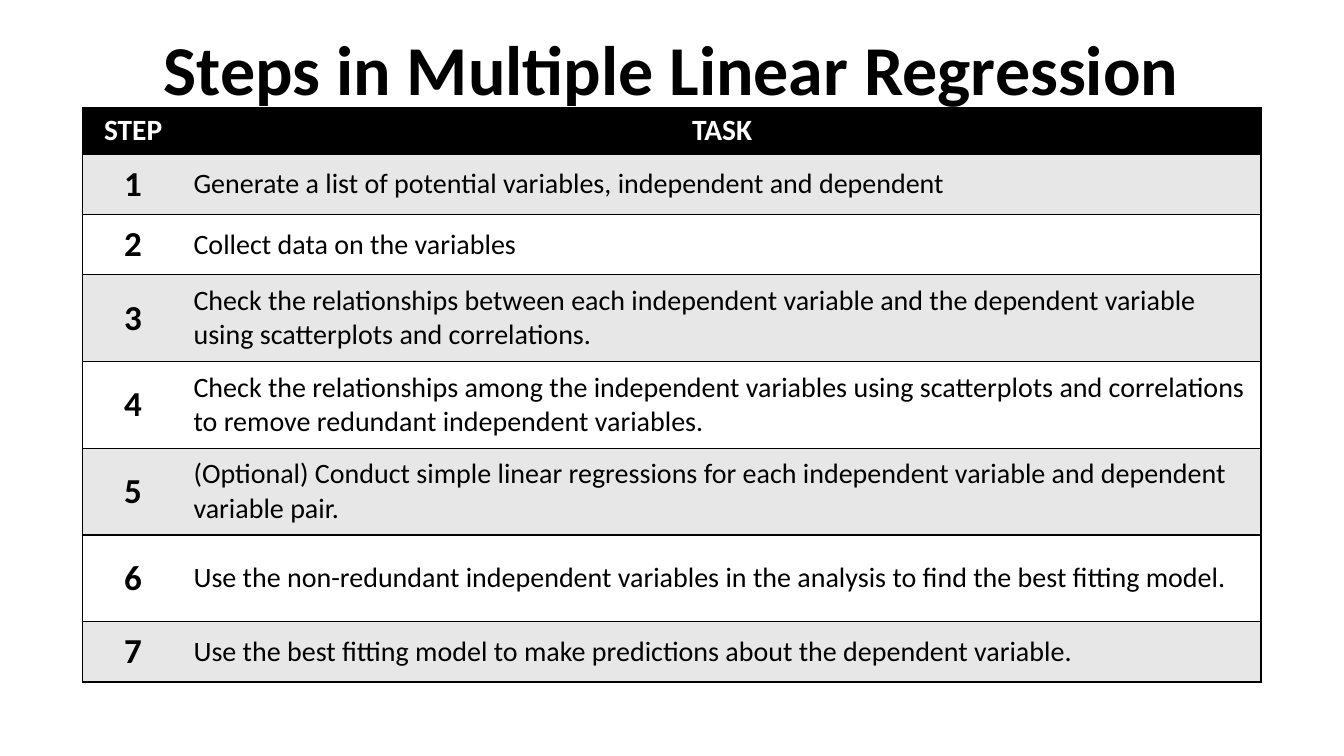
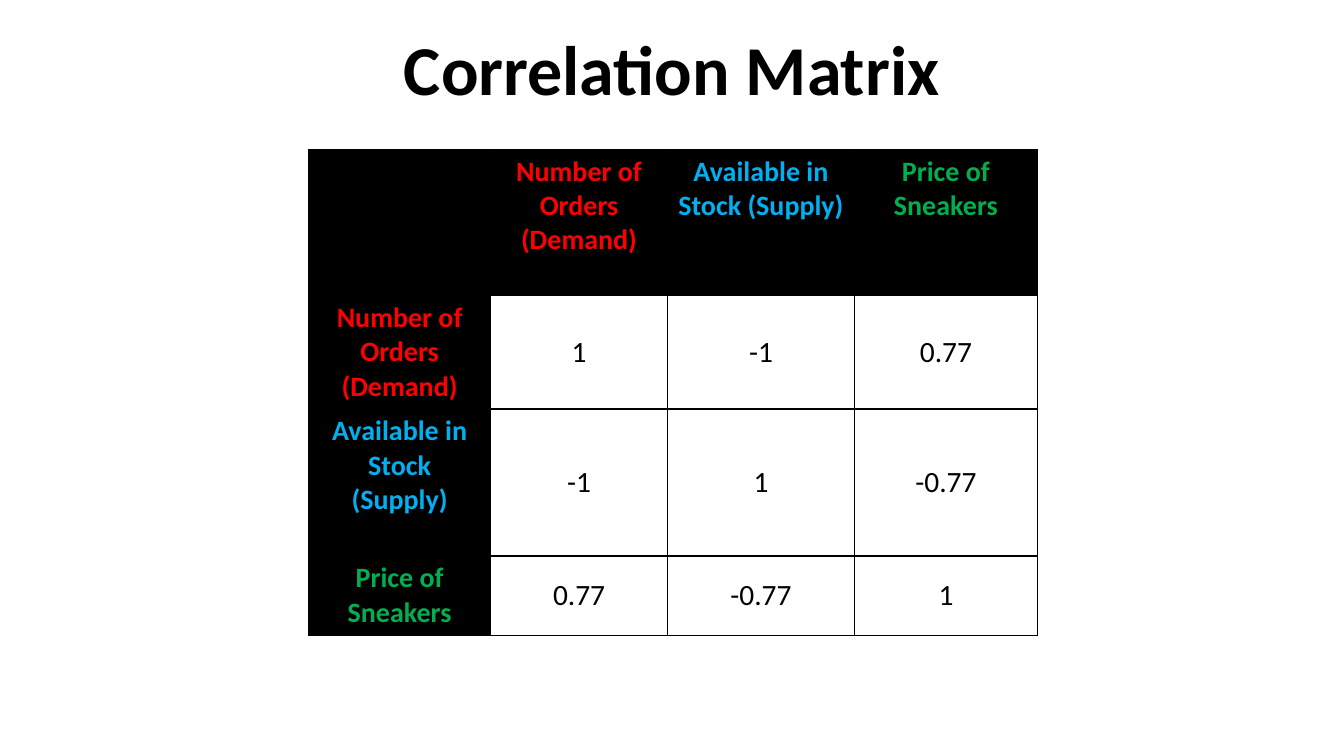
from lxml.etree import SubElement
from pptx import Presentation
from pptx.dml.color import RGBColor
from pptx.enum.text import MSO_ANCHOR, MSO_AUTO_SIZE, PP_ALIGN
from pptx.oxml.ns import qn
from pptx.util import Inches, Pt

BLACK = RGBColor(0x00, 0x00, 0x00)
WHITE = RGBColor(0xFF, 0xFF, 0xFF)
GRAY = RGBColor(0xE7, 0xE7, 0xE7)
RED = RGBColor(0xFF, 0x00, 0x00)
BLUE = RGBColor(0x00, 0xB0, 0xF0)
GREEN = RGBColor(0x00, 0xB0, 0x50)

COLS, ROWS = 80, 45
UNIT = Inches(1 / 6)
NO_STYLE = "{2D5ABB26-0587-4C30-8999-92F81FD0307C}"
CENTER = {"alignment": PP_ALIGN.CENTER}
LEFT = {"alignment": PP_ALIGN.LEFT}
TITLE = {"size": Pt(50), "bold": True}
HEADING = {"size": Pt(21), "bold": True}
NUMBER = {"size": Pt(25), "bold": True}
TASK = {"size": Pt(20), "bold": False}
LABEL = {"size": Pt(20), "bold": True}
VALUE = {"size": Pt(21), "bold": False}

TASKS = [
    "Generate a list of potential variables, independent and dependent",
    "Collect data on the variables",
    "Check the relationships between each independent variable and the "
    "dependent variable using scatterplots and correlations.",
    "Check the relationships among the independent variables using "
    "scatterplots and correlations to remove redundant independent variables.",
    "(Optional) Conduct simple linear regressions for each independent "
    "variable and dependent variable pair.",
    "Use the non-redundant independent variables in the analysis to find "
    "the best fitting model.",
    "Use the best fitting model to make predictions about the dependent variable.",
]
VARIABLES = [
    ("Number of Orders (Demand)", RED),
    ("Available in Stock (Supply)", BLUE),
    ("Price of Sneakers", GREEN),
]
CORRELATIONS = [
    ("1", "-1", "0.77"),
    ("-1", "1", "-0.77"),
    ("0.77", "-0.77", "1"),
]


def grid(count):
    return round(count * UNIT)


def apply(target, values):
    for name, value in values.items():
        setattr(target, name, value)


class Deck:
    font = "Calibri"

    def __init__(self):
        self.prs = Presentation()
        apply(self.prs, {"slide_width": grid(COLS), "slide_height": grid(ROWS)})
        self.s = None

    def text(self, tf, text, style, color=BLACK, layout=CENTER):
        p = tf.paragraphs[0]
        apply(p, layout)
        r = p.add_run()
        r.text = text
        apply(r.font, {"name": self.font, **style})
        r.font.color.rgb = color

    def slide(self, title):
        self.s = self.prs.slides.add_slide(self.prs.slide_layouts[5])
        sp = self.s.shapes.title
        apply(sp, {"left": grid(3), "top": grid(2.16),
                   "width": grid(74), "height": grid(4.74)})
        tf = sp.text_frame
        apply(tf, {"auto_size": MSO_AUTO_SIZE.NONE, "word_wrap": True,
                   "vertical_anchor": MSO_ANCHOR.BOTTOM})
        self.text(tf, title, TITLE, layout={**CENTER, "line_spacing": 0.9})

    def table(self, left, top, widths, heights):
        frame = self.s.shapes.add_table(
            len(heights), len(widths), grid(left), grid(top),
            grid(sum(widths)), grid(sum(heights)))
        table = frame.table
        apply(table, {"first_row": False, "horz_banding": False})
        table._tbl.tblPr.find(qn("a:tableStyleId")).text = NO_STYLE
        for column, width in zip(table.columns, widths):
            column.width = grid(width)
        for row, height in zip(table.rows, heights):
            row.height = grid(height)
        return table

    def cell(self, cell, fill, sides="LRTB", anchor=MSO_ANCHOR.TOP):
        cell.vertical_anchor = anchor
        properties = cell._tc.get_or_add_tcPr()
        for side in sides:
            line = SubElement(properties, qn(f"a:ln{side}"), w=str(Pt(1)))
            color = SubElement(line, qn("a:solidFill"))
            SubElement(color, qn("a:srgbClr"), val=str(BLACK))
        cell.fill.solid()
        cell.fill.fore_color.rgb = fill
        return cell.text_frame


def add_steps(deck):
    deck.slide("Steps in Multiple Linear Regression")
    short, tall = 3.6, 5.16
    heights = [2.74, short, short] + [tall] * 4 + [short]
    table = deck.table(4.92, 6.42, [6, 64.14], heights)
    outer = ("LTB", "RTB")
    for column, text in enumerate(("STEP", "TASK")):
        tf = deck.cell(table.cell(0, column), BLACK, outer[column])
        deck.text(tf, text, HEADING, WHITE)
    for step, task in enumerate(TASKS, 1):
        fill = GRAY if step % 2 else WHITE
        entries = ((str(step), NUMBER, CENTER), (task, TASK, LEFT))
        for column, (text, style, layout) in enumerate(entries):
            tf = deck.cell(table.cell(step, column), fill, outer[column],
                           MSO_ANCHOR.MIDDLE)
            deck.text(tf, text, style, layout=layout)


def add_matrix(deck):
    deck.slide("Correlation Matrix")
    table = deck.table(18.36, 8.9, [10.86, 10.5, 11.16, 10.86],
                       [8.7, 6.75, 8.75, 4.74])
    deck.cell(table.cell(0, 0), BLACK)
    for index, (name, color) in enumerate(VARIABLES, 1):
        for position in ((0, index), (index, 0)):
            tf = deck.cell(table.cell(*position), BLACK)
            deck.text(tf, name, LABEL, color)
    for row, values in enumerate(CORRELATIONS, 1):
        for column, value in enumerate(values, 1):
            tf = deck.cell(table.cell(row, column), WHITE,
                           anchor=MSO_ANCHOR.MIDDLE)
            deck.text(tf, value, VALUE)


def main():
    deck = Deck()
    add_steps(deck)
    add_matrix(deck)
    deck.prs.save("out.pptx")


if __name__ == "__main__":
    main()
